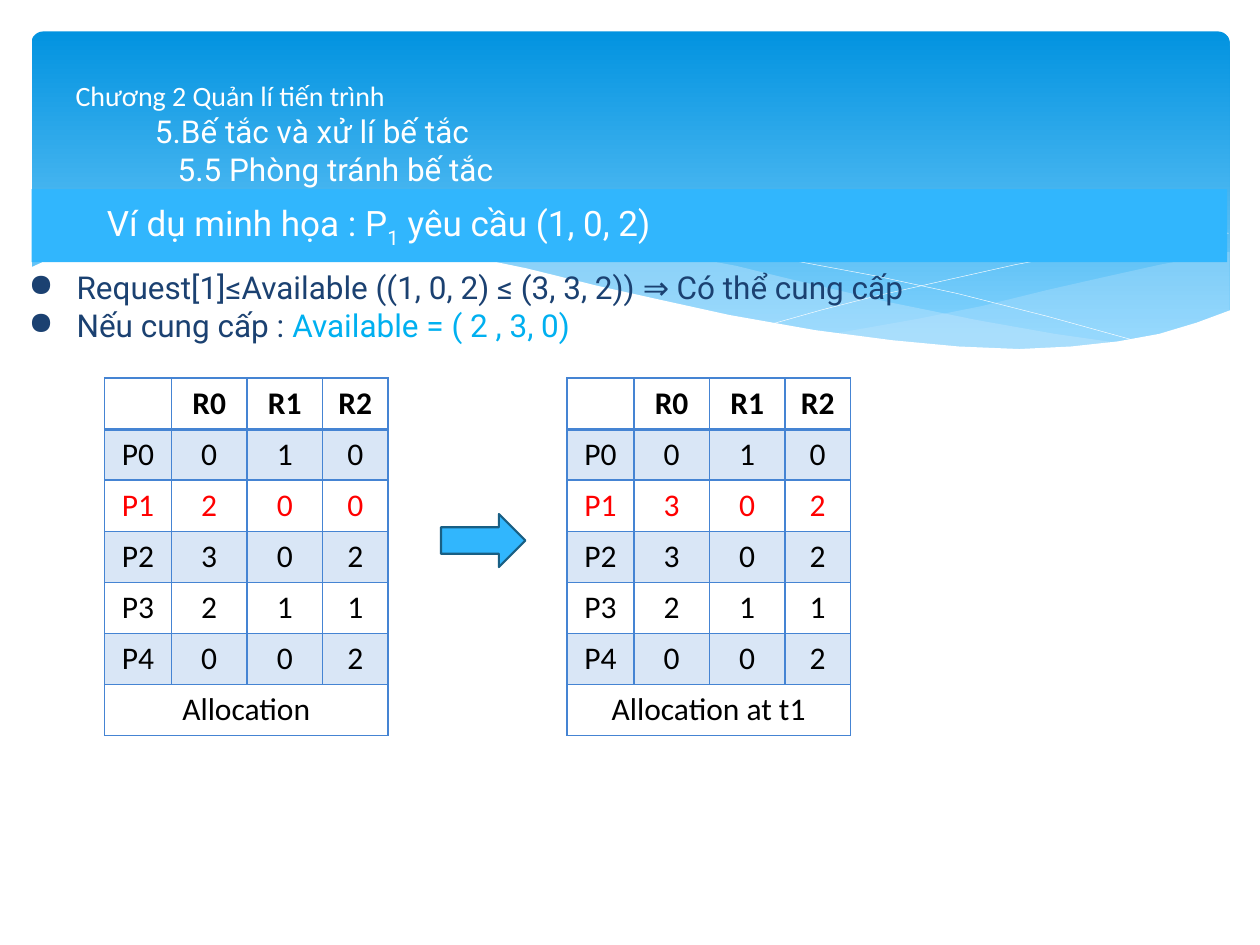
from lxml.etree import SubElement, Element
from pptx import Presentation
from pptx.dml.color import RGBColor
from pptx.enum.shapes import MSO_SHAPE as Preset
from pptx.enum.text import MSO_ANCHOR as Anchor, MSO_AUTO_SIZE as AutoSize, PP_ALIGN as Align
from pptx.oxml.ns import qn
from pptx.util import Emu, Inches, Pt

WHITE = RGBColor(0xFF, 0xFF, 0xFF)
BLACK = RGBColor(0x00, 0x00, 0x00)
RED = RGBColor(0xFF, 0x00, 0x00)
SKY = RGBColor(0x31, 0xB6, 0xFD)
SKY_TOP = RGBColor(0x02, 0x93, 0xE0)
SKY_BOTTOM = RGBColor(0x83, 0xD3, 0xFE)
MIST = RGBColor(0xC6, 0xE7, 0xFC)
NAVY = RGBColor(0x1B, 0x41, 0x71)
CYAN = RGBColor(0x00, 0xB0, 0xF0)
STEEL = RGBColor(0x19, 0x5F, 0x84)
GRID_BLUE = RGBColor(0x45, 0x84, 0xD3)

RIGHT_VEIL = [(97.5, 20), (92.1, 21), (87.6, 22), (83.2, 23), (77.9, 24.3), (72.9, 25.3),
              (66.1, 26.5), (70.5, 27.1), (74.5, 27.5), (78.1, 27.7), (82.4, 27.7),
              (86.3, 27.5), (89.7, 27), (92.8, 26.4), (95.5, 25.5), (97.6, 24.7), (97.6, 20)]
LEFT_VEIL = [(89.3, 27.3), (83.7, 26.5), (77.5, 25.4), (70.6, 24), (62.9, 22.2), (58.4, 21.1),
             (54.1, 20.3), (50.1, 19.6), (46.4, 19.1), (42, 18.7), (38, 18.6), (34.4, 18.6),
             (31.3, 18.8), (28.6, 19.1), (34.2, 19.9), (40.4, 21.1), (44.9, 22.2),
             (53, 24), (60.1, 25.5), (66.5, 26.6), (72.2, 27.4), (77.3, 27.8),
             (81.8, 27.9), (85.7, 27.7)]
FALLING_LINE = [(30.9, 19.5), (34.3, 19), (38.7, 18.7), (43.3, 18.7), (48.9, 19), (53.2, 19.4),
                (58.2, 20), (63.6, 20.8), (69.5, 21.9), (76, 23.3), (83.1, 25.1), (90.7, 27.2)]
RISING_LINE = [(61.3, 25.7), (65.2, 24.6), (69.5, 23.5), (74.8, 22.3), (80.6, 21),
               (86.6, 19.9), (91, 19.2), (95.1, 18.7), (97.5, 18.5)]
PAPER_WAVE = [(97.7, 24.6), (95, 25.6), (92, 26.5), (88.7, 27.1), (85, 27.5), (80.9, 27.7),
              (76.1, 27.5), (70.8, 27), (64.7, 26.2), (57.9, 25), (52.9, 23.9), (47.5, 22.7),
              (41.8, 21.3), (36.5, 20.2), (31.5, 19.4), (27.1, 18.8), (23, 18.5), (19.3, 18.4),
              (16.1, 18.4), (13.2, 18.6), (10.6, 18.9), (8.5, 19.3), (6.7, 19.7), (5.2, 20.1),
              (3.6, 20.7), (2.3, 21.3), (2.3, 32.9), (97.7, 32.9)]


def table_rows(p1_values, caption):
    """Return the rows of one allocation table."""
    return [["", "R0", "R1", "R2"], ["P0", "0", "1", "0"], ["P1", *p1_values],
            ["P2", "3", "0", "2"], ["P3", "2", "1", "1"], ["P4", "0", "0", "2"],
            [caption, "", "", ""]]


class SlideBuilder:
    """Draw styled elements on a grid of 100 columns and 75 rows."""

    def __init__(self, presentation):
        presentation.slide_width, presentation.slide_height = Inches(10), Inches(7.5)
        self.unit = presentation.slide_width / 100
        self.slide = presentation.slides.add_slide(presentation.slide_layouts[5])
        self.shapes = self.slide.shapes

    def length(self, *cells):
        return [Emu(round(cell * self.unit)) for cell in cells]

    def set_alpha(self, color_element, percent):
        SubElement(color_element, qn("a:alpha"), val=str(percent * 1000))

    def paint(self, shape, fill=None, line=None, width=1, alpha=100):
        shape.shadow.inherit = False
        if fill is None:
            shape.fill.background()
        else:
            shape.fill.solid()
            shape.fill.fore_color.rgb = fill
            if alpha < 100:
                self.set_alpha(shape.element.xpath("./p:spPr/a:solidFill/a:srgbClr")[0], alpha)
        if line is None:
            shape.line.fill.background()
        else:
            shape.line.color.rgb = line
            shape.line.width = Pt(width)
        return shape

    def preset(self, kind, box, **paint):
        return self.paint(self.shapes.add_shape(kind, *self.length(*box)), **paint)

    def gradient_panel(self, box, colors):
        shape = self.preset(Preset.ROUNDED_RECTANGLE, box)
        shape.adjustments[0] = 0.034
        shape.fill.gradient()
        shape.fill.gradient_angle = 270
        for stop, color, position in zip(shape.fill.gradient_stops, colors, (0, 0.9)):
            stop.color.rgb, stop.position = color, position

    def outline(self, points, closed=True, **paint):
        (left, top), *others = [(x * 100, y * 100) for x, y in points]
        builder = self.shapes.build_freeform(left, top, scale=self.unit / 100)
        builder.add_line_segments(others, close=closed)
        self.paint(builder.convert_to_shape(), **paint)

    def add_run(self, paragraph, text, **style):
        run = paragraph.add_run()
        run.text = text
        color = style.pop("color")
        for name, value in style.items():
            setattr(run.font, name, value)
        run.font.color.rgb = color

    def fill_text(self, shape, paragraphs, anchor=Anchor.MIDDLE, bullet=None):
        frame = shape.text_frame
        settings = {"word_wrap": True, "auto_size": AutoSize.NONE, "vertical_anchor": anchor}
        for name, value in settings.items():
            setattr(frame, name, value)
        for index, (margin, runs) in enumerate(paragraphs):
            paragraph = frame.add_paragraph() if index else frame.paragraphs[0]
            paragraph.alignment = Align.LEFT
            for text, style in runs:
                self.add_run(paragraph, text, **style)
            properties = shape.element.xpath(".//a:pPr")[index]
            margin_length = self.length(margin)[0]
            properties.set("marL", str(margin_length))
            properties.set("indent", str(-margin_length if bullet else 0))
            if bullet:
                SubElement(properties, qn("a:buChar"), char=bullet)

    def title(self, box, paragraphs):
        shape = self.shapes.title
        shape.left, shape.top, shape.width, shape.height = self.length(*box)
        shape.element.getparent().append(shape.element)
        self.fill_text(shape, paragraphs)

    def banner(self, box, paragraphs, subscript_run):
        shape = self.preset(Preset.RECTANGLE, box, fill=SKY)
        self.fill_text(shape, paragraphs)
        shape.element.xpath(".//a:rPr")[subscript_run].set("baseline", "-25000")

    def bullets(self, box, paragraphs):
        shape = self.shapes.add_textbox(*self.length(*box))
        self.fill_text(shape, paragraphs, anchor=Anchor.TOP, bullet="●")

    def border(self, properties, row):
        widths = {"lnL": 1, "lnR": 1, "lnT": 2 if row == 1 else 1, "lnB": 2 if row == 0 else 1}
        for index, (side, width) in enumerate(widths.items()):
            line = Element(qn(f"a:{side}"), w=str(Pt(width)))
            fill = SubElement(line, qn("a:solidFill"))
            SubElement(fill, qn("a:srgbClr"), val=str(GRID_BLUE))
            properties.insert(index, line)

    def table(self, left, top, rows, columns=(5.3, 6, 6, 5.2), row_height=4):
        box = self.length(left, top, sum(columns), row_height * len(rows))
        frame = self.shapes.add_table(len(rows), len(columns), *box)
        table = frame.table
        table.first_row = table.horz_banding = False
        for column, width in zip(table.columns, self.length(*columns)):
            column.width = width
        last = len(rows) - 1
        table.cell(last, 0).merge(table.cell(last, len(columns) - 1))
        for row, values in enumerate(rows):
            for column, text in enumerate(values):
                cell = table.cell(row, column)
                if row % 2:
                    cell.fill.solid()
                    cell.fill.fore_color.rgb = GRID_BLUE
                else:
                    cell.fill.background()
                paragraph = cell.text_frame.paragraphs[0]
                paragraph.alignment = Align.CENTER
                if text:
                    self.add_run(paragraph, text, size=Pt(18), name="Calibri", bold=row == 0,
                                 color=RED if row == 2 else BLACK)
        for color in frame.element.xpath(".//a:tcPr/a:solidFill/a:srgbClr"):
            self.set_alpha(color, 20)
        for index, properties in enumerate(frame.element.xpath(".//a:tcPr")):
            self.border(properties, index // len(columns))


def main():
    presentation = Presentation()
    builder = SlideBuilder(presentation)
    chapter = {"size": Pt(16), "name": "Calibri", "color": WHITE}
    section = {"size": Pt(18), "name": "Roboto", "color": WHITE}
    heading = {**section, "size": Pt(20)}
    body = {**section, "color": NAVY}

    builder.gradient_panel((2.5, 2.5, 95.1, 27), (SKY_TOP, SKY_BOTTOM))
    builder.outline(RIGHT_VEIL, fill=MIST, alpha=29)
    builder.outline(LEFT_VEIL, fill=MIST, alpha=40)
    for points in (FALLING_LINE, RISING_LINE):
        builder.outline(points, closed=False, line=WHITE, width=0.25)
    builder.outline(PAPER_WAVE, fill=WHITE)
    builder.title((5, 3.7, 90, 13.7), [
        (0, [("Chương 2 Quản lí tiến trình", chapter)]),
        (6.3, [("5.Bế tắc và xử lí bế tắc", section)]),
        (8.1, [("5.5 Phòng tránh bế tắc", section)])])
    builder.banner((2.5, 15, 94.9, 5.8), [
        (5, [("Ví dụ minh họa : P", heading), ("1", heading),
             (" yêu cầu (1, 0, 2)", heading)])], subscript_run=1)
    builder.bullets((1.3, 20.8, 95.7, 7.1), [
        (3.8, [("Request[1]≤Available ((1, 0, 2) ≤ (3, 3, 2)) ⇒ Có thể cung cấp", body)]),
        (3.8, [("Nếu cung cấp : ", body),
               ("Available = ( 2 , 3, 0)", {**body, "color": CYAN})])])
    builder.table(45, 30, table_rows("302", "Allocation at t1"))
    builder.table(8.3, 30, table_rows("200", "Allocation"))
    builder.preset(Preset.RIGHT_ARROW, (35, 40.8, 6.7, 4.2), fill=SKY, line=STEEL, width=1.25)
    presentation.save("out.pptx")


if __name__ == "__main__":
    main()
